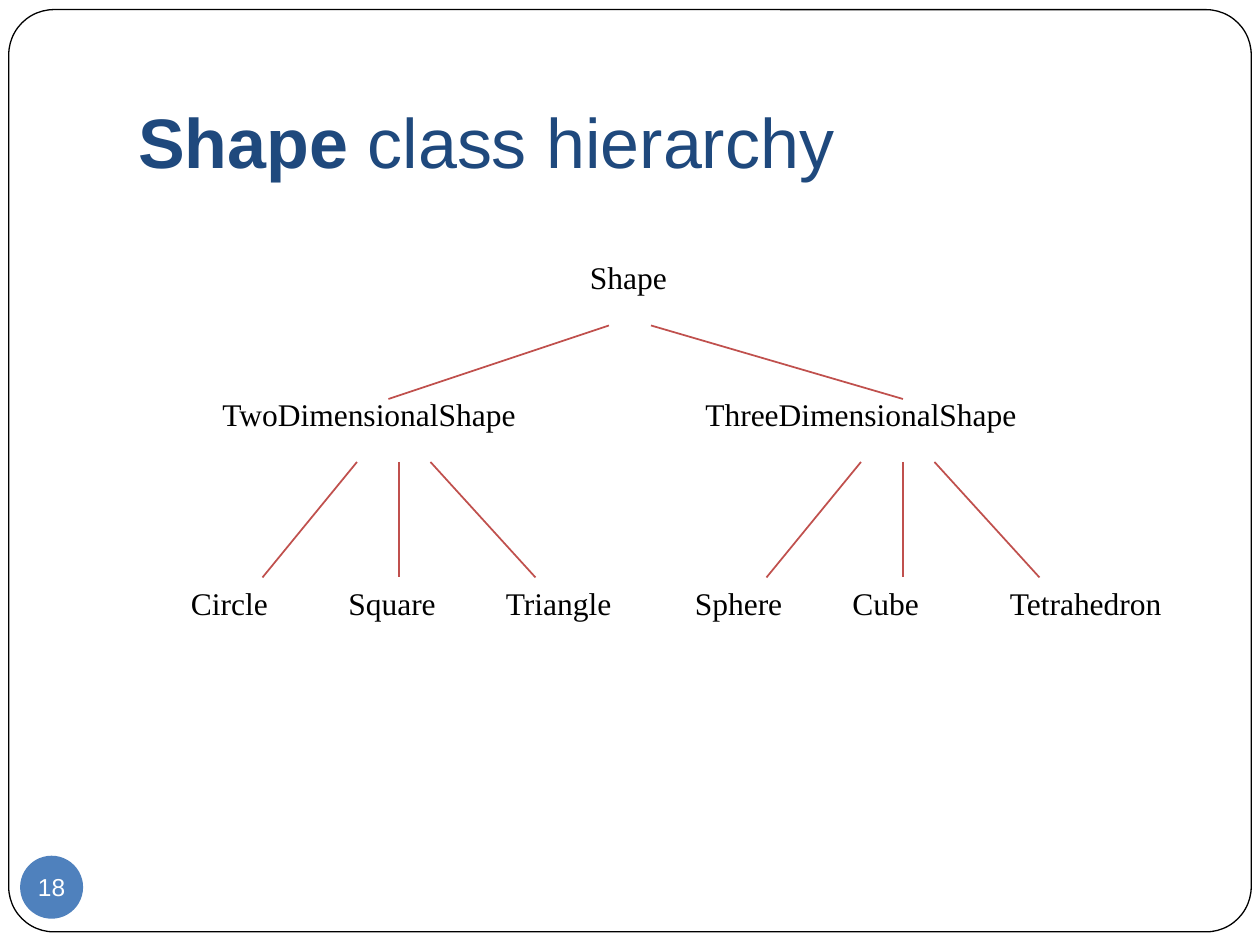
import pptx
import pptx.util
import pptx.dml.color
import pptx.enum.shapes
import pptx.enum.text
import pptx.oxml

Pt = pptx.util.Pt
RGB = pptx.dml.color.RGBColor
KIND = pptx.enum.shapes.MSO_SHAPE
LINK = pptx.enum.shapes.MSO_CONNECTOR
ANCHOR = pptx.enum.text.MSO_ANCHOR
ALIGN = pptx.enum.text.PP_ALIGN

WHITE = RGB(0xFF, 0xFF, 0xFF)
BLACK = RGB(0, 0, 0)
NAVY = RGB(0x1F, 0x49, 0x7D)
BLUE = RGB(0x4F, 0x81, 0xBD)
RED = RGB(0xC0, 0x50, 0x4D)

TITLE = {"name": "Arial", "size": Pt(40)}
LABEL = {"name": "Times New Roman", "size": Pt(18)}
BADGE = {"name": "Arial", "size": Pt(14)}


def style(item, values):
    for key, value in values.items():
        setattr(item, key, value)


def write(shape, runs, font, color, anchor=ANCHOR.TOP, align=ALIGN.LEFT,
          pads=(7.2, 3.6, 7.2, 3.6)):
    frame = shape.text_frame
    sides = ("margin_left", "margin_top", "margin_right", "margin_bottom")
    style(frame, {"word_wrap": True, "vertical_anchor": anchor,
                  **dict(zip(sides, map(Pt, pads)))})
    line = frame.paragraphs[0]
    line.alignment = align
    for text, bold in runs:
        run = line.add_run()
        run.text = text
        style(run.font, {**font, "bold": bold})
        run.font.color.rgb = color


def label(shapes, text, x, y, w):
    box = shapes.add_textbox(Pt(x), Pt(y), Pt(w), Pt(36))
    write(box, [(text, False)], LABEL, BLACK)


def link(shapes, x1, y1, x2, y2):
    line = shapes.add_connector(LINK.STRAIGHT, Pt(x1), Pt(y1), Pt(x2), Pt(y2))
    line.line.color.rgb = RED
    line.line.width = Pt(1)
    props = line._element.spPr
    props.append(pptx.oxml.parse_xml(
        '<a:effectLst xmlns:a="http://schemas.openxmlformats.org/drawingml/2006/main"/>'))


def frame(shapes, x, y, w, h):
    card = shapes.add_shape(KIND.ROUNDED_RECTANGLE, Pt(x), Pt(y), Pt(w), Pt(h))
    card.adjustments[0] = 0.049
    card.shadow.inherit = False
    card.fill.solid()
    card.fill.fore_color.rgb = WHITE
    card.line.color.rgb = BLACK
    card.line.width = Pt(0.75)


def badge(shapes, x, y, size):
    disc = shapes.add_shape(KIND.OVAL, Pt(x), Pt(y), Pt(size), Pt(size))
    disc.shadow.inherit = False
    disc.fill.solid()
    disc.fill.fore_color.rgb = BLUE
    disc.line.fill.background()
    write(disc, [("18", False)], BADGE, WHITE, ANCHOR.MIDDLE, ALIGN.CENTER,
          (0, 0, 0, 0))


def title(shapes, x, y, w, h):
    box = shapes.add_textbox(Pt(x), Pt(y), Pt(w), Pt(h))
    write(box, [("Shape ", True), ("class hierarchy", False)], TITLE, NAVY,
          ANCHOR.BOTTOM, pads=(7.2, 3.6, 7.2, 7.2))


def root(shapes, x, y):
    label(shapes, "Shape", x, y, 73)
    link(shapes, x + 18, y + 42, x - 108, y + 84)
    link(shapes, x + 42, y + 42, x + 186, y + 84)


def branch(shapes, x, y, parent, shift, width, leaves):
    label(shapes, parent, x + shift, y, width)
    group = shapes.add_group_shape().shapes
    for start, end in ((102, 48), (126, 126), (144, 204)):
        link(group, x + start, y + 42, x + end, y + 108)
    for col, (text, wide) in enumerate(leaves):
        label(group, text, x + 90 * col, y + 108, wide)


def main():
    deck = pptx.Presentation()
    style(deck, {"slide_width": Pt(720), "slide_height": Pt(540)})
    shapes = deck.slides.add_slide(deck.slide_layouts[6]).shapes
    frame(shapes, 5, 5.5, 710, 527)
    badge(shapes, 11.5, 489, 36)
    title(shapes, 72, 21.6, 612, 90)
    root(shapes, 330, 144)
    branch(shapes, 102, 222, "TwoDimensionalShape", 18, 239,
           [("Circle", 73), ("Square", 81), ("Triangle", 95)])
    branch(shapes, 390, 222, "ThreeDimensionalShape", 6, 251,
           [("Sphere", 81), ("Cube", 65), ("Tetrahedron", 131)])
    deck.save("out.pptx")


if __name__ == "__main__":
    main()
